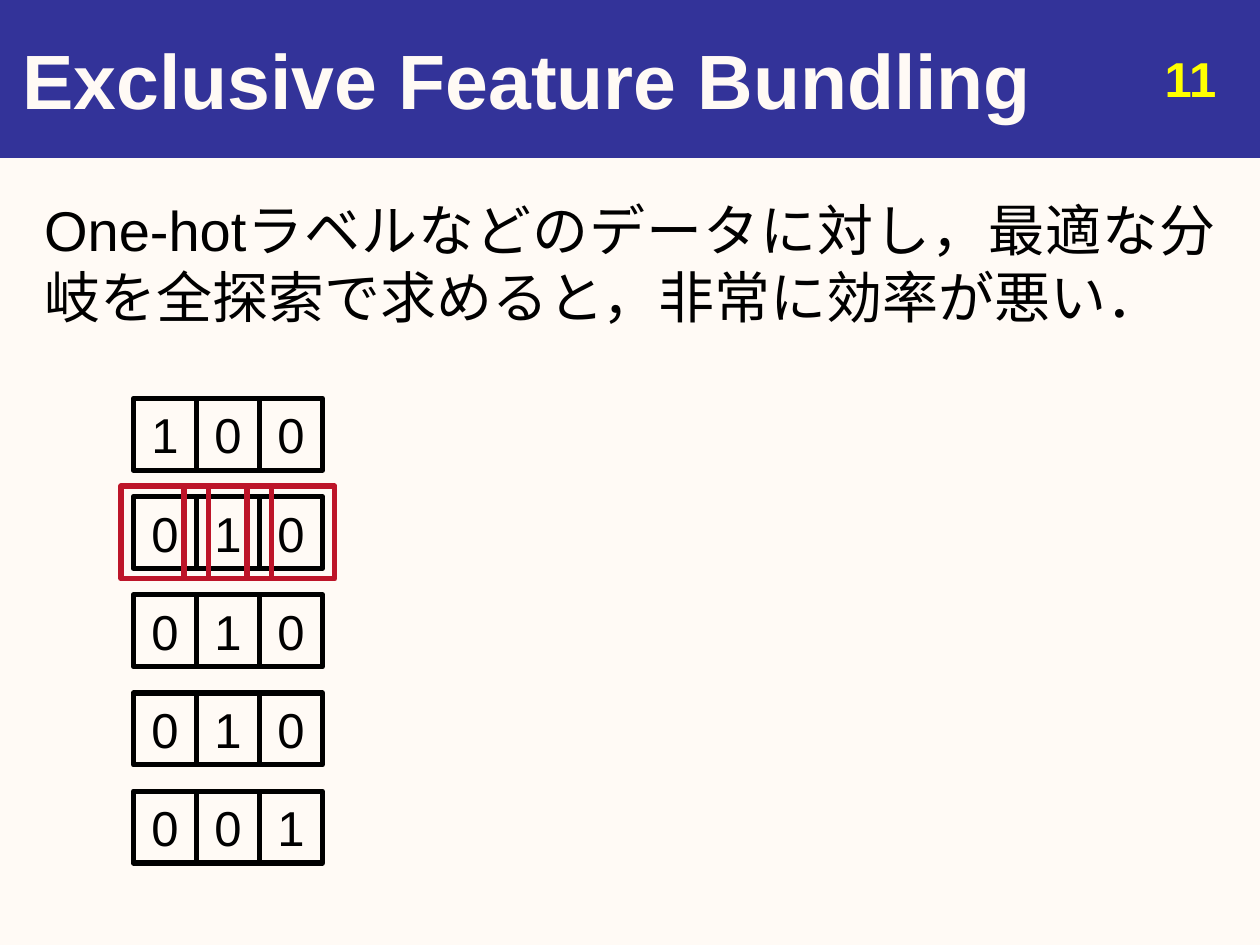
from pptx import Presentation
from pptx.dml.color import RGBColor
from pptx.enum import shapes, text
from pptx.util import Cm, Pt

CREAM = RGBColor(0xFF, 0xFA, 0xF5)
NAVY = RGBColor(0x33, 0x33, 0x99)
YELLOW = RGBColor(0xFF, 0xFF, 0x00)
BLACK = RGBColor(0x00, 0x00, 0x00)
RED = RGBColor(0xBD, 0x15, 0x29)


def write(shape, words, size, color, alignment, bold=False, anchor=text.MSO_ANCHOR.MIDDLE):
    frame = shape.text_frame
    frame.text = words
    frame.word_wrap = True
    frame.vertical_anchor = anchor
    paragraph = frame.paragraphs[0]
    paragraph.alignment = alignment
    font = paragraph.runs[0].font
    font.name = "Arial"
    font.size = Pt(size)
    font.bold = bold
    font.color.rgb = color


def add_rectangle(parent, left, top, width, height, line_color, line_width=3):
    shape = parent.add_shape(
        shapes.MSO_SHAPE.RECTANGLE, Cm(left), Cm(top), Cm(width), Cm(height))
    shape.shadow.inherit = False
    shape.fill.background()
    shape.line.color.rgb = line_color
    shape.line.width = Pt(line_width)
    return shape


presentation = Presentation()
presentation.slide_width = Cm(25.4)
presentation.slide_height = Cm(19.05)
slide = presentation.slides.add_slide(presentation.slide_layouts[6])
slide.background.fill.solid()
slide.background.fill.fore_color.rgb = CREAM

banner = add_rectangle(slide.shapes, 0, 0, 25.4, 3.18, NAVY, 0.75)
banner.fill.solid()
banner.fill.fore_color.rgb = NAVY

title = slide.shapes.add_textbox(Cm(0.2), Cm(0), Cm(25.2), Cm(3.18))
write(title, "Exclusive Feature Bundling", 44, CREAM, text.PP_ALIGN.LEFT, bold=True)

body = slide.shapes.add_textbox(Cm(0.64), Cm(3.81), Cm(24.13), Cm(14.4))
write(body, "One-hotラベルなどのデータに対し，最適な分岐を全探索で求めると，非常に効率が悪い．",
      32, BLACK, text.PP_ALIGN.JUSTIFY, anchor=text.MSO_ANCHOR.TOP)

page_number = slide.shapes.add_textbox(Cm(18.85), Cm(0.91), Cm(5.92), Cm(1.32))
write(page_number, "11", 28, YELLOW, text.PP_ALIGN.RIGHT, bold=True)

labels = ["100", "010", "010", "010", "001"]
grid_left, grid_top = 2.69, 8.03
cell_width, cell_height, row_pitch = 1.27, 1.45, 1.98

for row, label in enumerate(labels):
    group = slide.shapes.add_group_shape()
    for column, digit in enumerate(label):
        cell = add_rectangle(
            group.shapes, grid_left + column * cell_width, grid_top + row * row_pitch,
            cell_width, cell_height, BLACK)
        write(cell, digit, 28, BLACK, text.PP_ALIGN.CENTER)

highlight_row = 1
margin_x, margin_y = 0.25, 0.21
for column in reversed(range(3)):
    add_rectangle(
        slide.shapes, grid_left + column * cell_width - margin_x,
        grid_top + highlight_row * row_pitch - margin_y,
        cell_width + 2 * margin_x, cell_height + 2 * margin_y, RED)

presentation.save("out.pptx")
